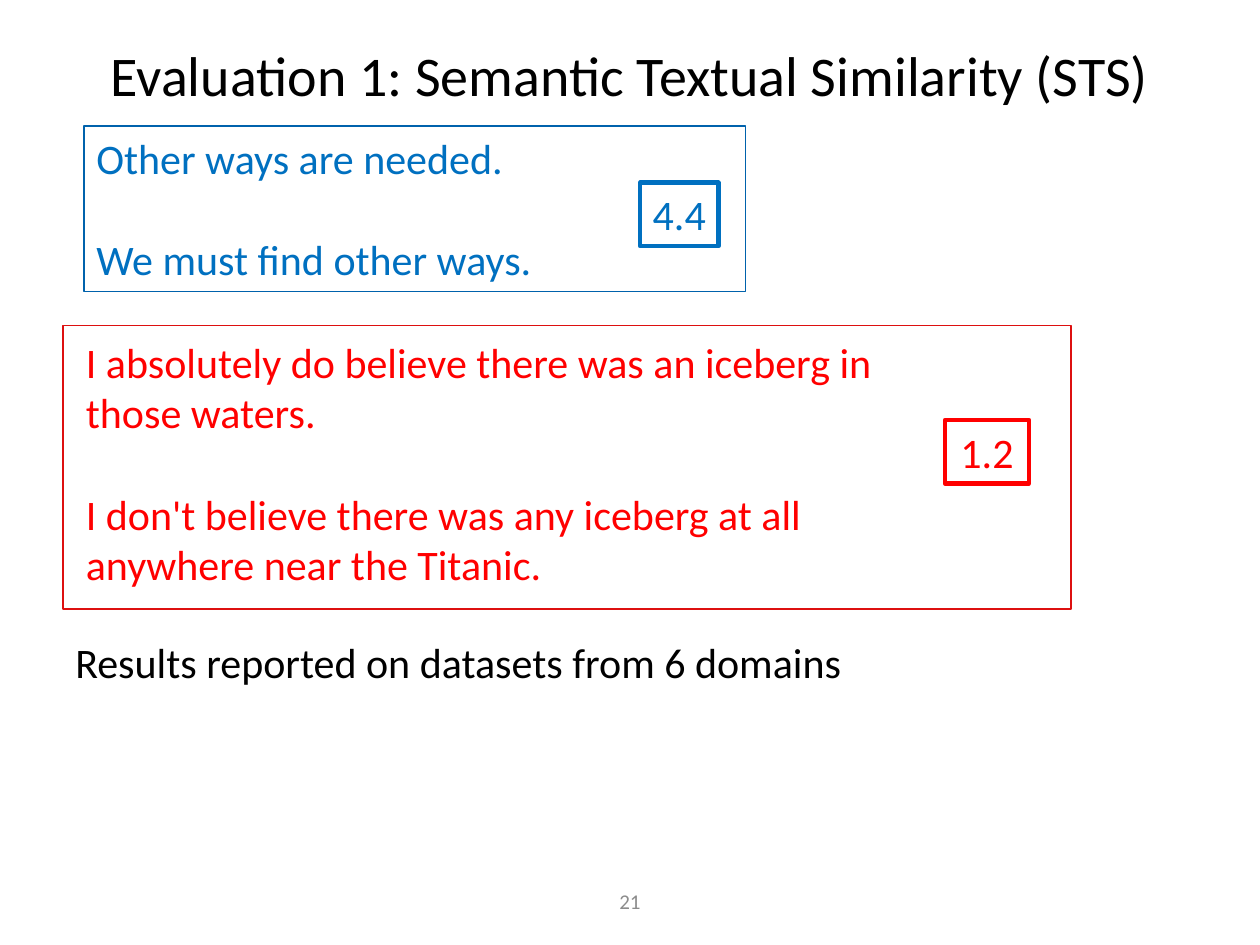
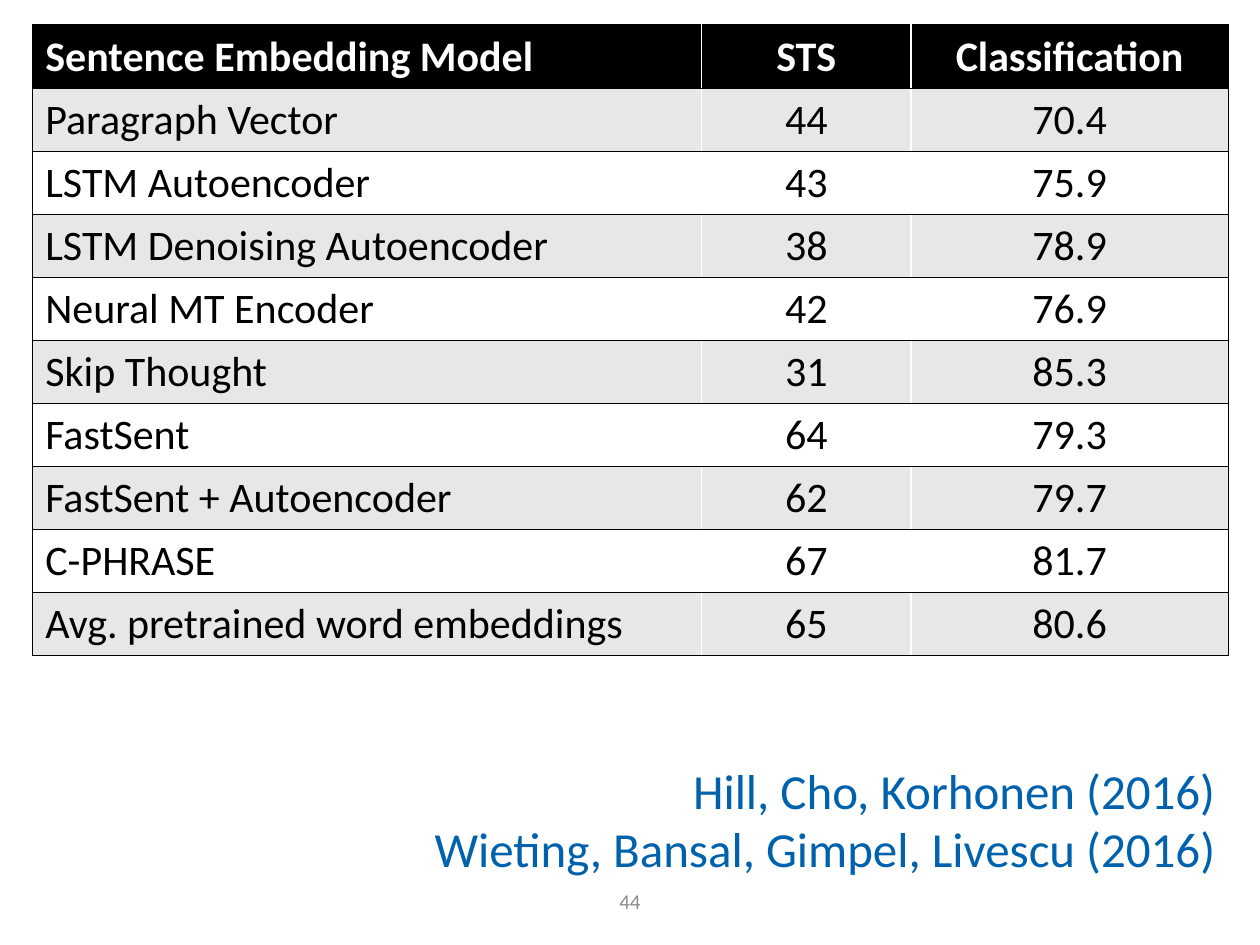
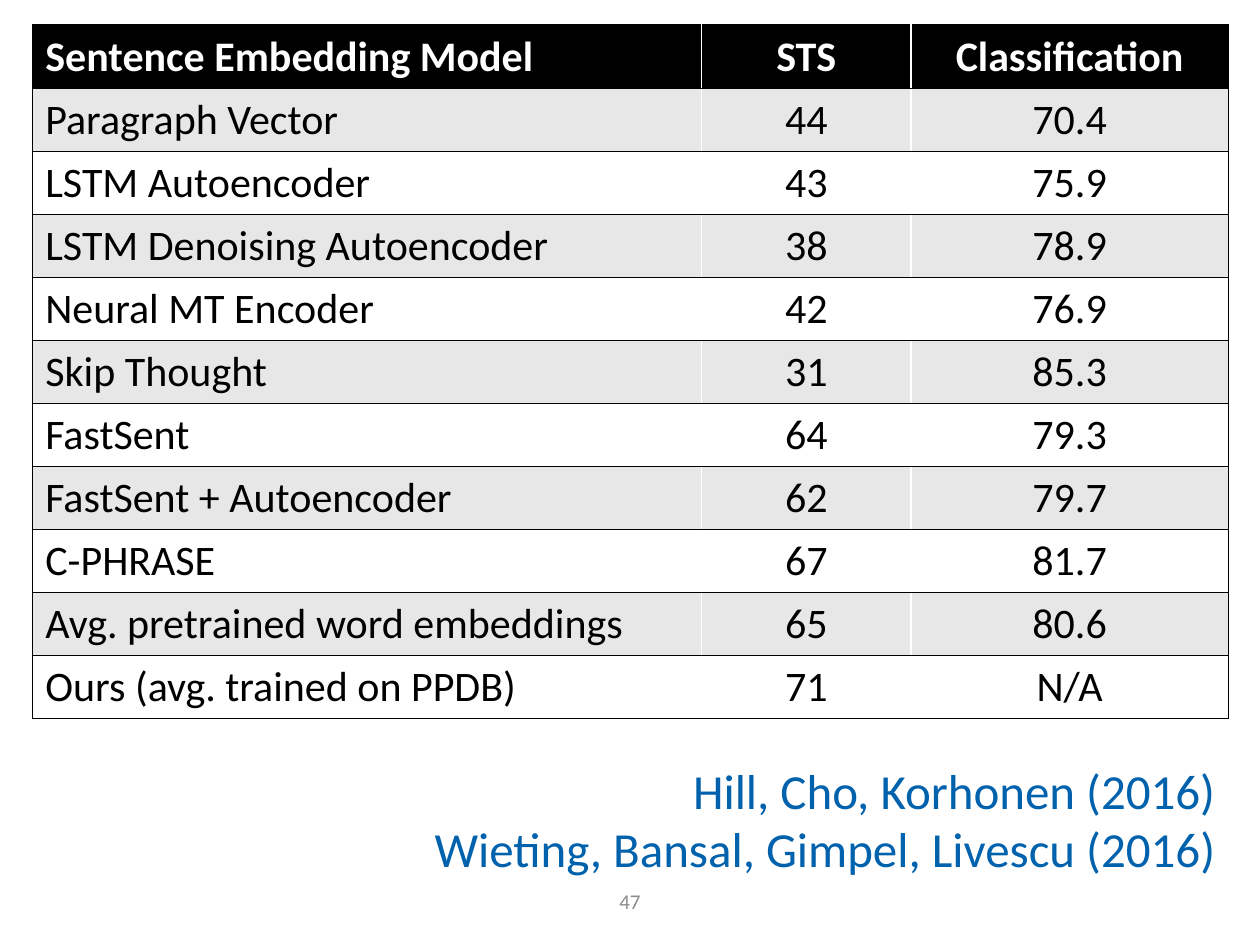
import pptx
import pptx.dml.color
import pptx.enum.shapes
import pptx.enum.text
import pptx.oxml
import pptx.oxml.ns
import pptx.util

Pt = pptx.util.Pt
ALIGN = pptx.enum.text.PP_ALIGN
ANCHOR = pptx.enum.text.MSO_ANCHOR

BLACK, WHITE, BAND = "000000", "FFFFFF", "E7E7E7"
BLUE, NAVY, RED, CRIMSON, GREY = "0070C0", "0062AC", "FF0000", "DD1010", "8C8C8C"
FONT = "Calibri"
BLANK_LINE = 29.3

TITLE = "Evaluation 1: Semantic Textual Similarity (STS)"
TITLE_AREA = (36, 13.7, 648, 56.9)
SIMILAR_PAIR = ["Other ways are needed.", "We must find other ways."]
DISSIMILAR_PAIR = [
    "I absolutely do believe there was an iceberg in those waters.",
    "I don't believe there was any iceberg at all anywhere near the Titanic.",
]
SCORES = [
    ("4.4", (365.8, 104.4, 44.8, 36.35), BLUE),
    ("1.2", (540, 240, 48, 36.35), RED),
]
RESULTS_NOTE = "Results reported on datasets from 6 domains"

HEADER = ("Sentence Embedding Model", "STS", "Classification")
MODELS = [
    ("Paragraph Vector", "44", "70.4"),
    ("LSTM Autoencoder", "43", "75.9"),
    ("LSTM Denoising Autoencoder", "38", "78.9"),
    ("Neural MT Encoder", "42", "76.9"),
    ("Skip Thought", "31", "85.3"),
    ("FastSent", "64", "79.3"),
    ("FastSent + Autoencoder", "62", "79.7"),
    ("C-PHRASE", "67", "81.7"),
    ("Avg. pretrained word embeddings", "65", "80.6"),
]
OURS = ("Ours (avg. trained on PPDB)", "71", "N/A")
COLUMN_WIDTHS = (382.3, 119.5, 181.5)
ROW_HEIGHT = 36
CITATIONS = ["Hill, Cho, Korhonen (2016)", "Wieting, Bansal, Gimpel, Livescu (2016)"]
RESULT_SLIDES = [("44", MODELS), ("47", MODELS + [OURS])]


def rgb(value):
    return pptx.dml.color.RGBColor.from_string(value)


def write(frame, lines, color, size=24, align=ALIGN.LEFT, bold=False, gap=0,
          anchor=ANCHOR.TOP, wrap=True):
    frame.word_wrap = wrap
    frame.vertical_anchor = anchor
    for number, line in enumerate(lines):
        paragraph = frame.add_paragraph() if number else frame.paragraphs[0]
        paragraph.alignment = align
        paragraph.space_before = Pt(gap if number else 0)
        run = paragraph.add_run()
        run.text = line
        for key, value in dict(name=FONT, size=Pt(size), bold=bold).items():
            setattr(run.font, key, value)
        run.font.color.rgb = rgb(color)


def add_text(slide, area, lines, color, **style):
    write(slide.shapes.add_textbox(*map(Pt, area)).text_frame, lines, color, **style)


def add_frame(slide, area, line_color, width):
    frame = slide.shapes.add_shape(pptx.enum.shapes.MSO_SHAPE.RECTANGLE, *map(Pt, area))
    frame.shadow.inherit = False
    frame.fill.background()
    frame.line.color.rgb = rgb(line_color)
    frame.line.width = Pt(width)
    return frame


def add_page_number(slide, number):
    add_text(slide, (246, 500.5, 228, 28.75), [number], GREY, size=12,
             align=ALIGN.CENTER, anchor=ANCHOR.MIDDLE)


def set_borders(cell, sides):
    properties = cell._tc.get_or_add_tcPr()
    for position, side in enumerate(sides):
        properties.insert(position, pptx.oxml.parse_xml(
            f'<a:ln{side} {pptx.oxml.ns.nsdecls("a")} w="12700"><a:solidFill>'
            f'<a:srgbClr val="{BLACK}"/></a:solidFill></a:ln{side}>'))


def add_model_table(slide, models):
    rows = [HEADER] + models
    table = slide.shapes.add_table(
        len(rows), len(HEADER), Pt(18.7), Pt(14.4),
        Pt(sum(COLUMN_WIDTHS)), Pt(ROW_HEIGHT * len(rows))).table
    for column, width in zip(table.columns, COLUMN_WIDTHS):
        column.width = Pt(width)
    for r, row in enumerate(rows):
        table.rows[r].height = Pt(ROW_HEIGHT)
        fill = BLACK if r == 0 else BAND if r % 2 else WHITE
        for c, value in enumerate(row):
            cell = table.cell(r, c)
            cell.fill.solid()
            cell.fill.fore_color.rgb = rgb(fill)
            write(cell.text_frame, [value], BLACK if r else WHITE, bold=r == 0,
                  align=ALIGN.CENTER if c else ALIGN.LEFT)
            set_borders(cell, ("LTB", "TB", "RTB")[c])


def build_evaluation(deck):
    slide = deck.slides.add_slide(deck.slide_layouts[5])
    title = slide.shapes.title
    for key, value in zip(("left", "top", "width", "height"), TITLE_AREA):
        setattr(title, key, Pt(value))
    write(title.text_frame, [TITLE], BLACK, size=32, align=ALIGN.CENTER,
          anchor=ANCHOR.MIDDLE)
    add_page_number(slide, "21")
    similar = add_frame(slide, (48, 72, 378, 94.5), NAVY, 0.75)
    write(similar.text_frame, SIMILAR_PAIR, BLUE, gap=BLANK_LINE)
    add_text(slide, (42, 188.6, 474, 152.6), DISSIMILAR_PAIR, RED, gap=BLANK_LINE)
    for score, area, color in SCORES:
        write(add_frame(slide, area, color, 2.5).text_frame, [score], color,
              align=ALIGN.CENTER, wrap=False)
    add_frame(slide, (36, 186, 576, 162), CRIMSON, 0.75)
    add_text(slide, (36, 360, 648, 96), [RESULTS_NOTE], BLACK)


def build_results(deck, number, models):
    slide = deck.slides.add_slide(deck.slide_layouts[6])
    add_model_table(slide, models)
    add_page_number(slide, number)
    add_text(slide, (224.8, 430.8, 476.6, 75.1), CITATIONS, NAVY, size=28,
             align=ALIGN.RIGHT)


def main():
    deck = pptx.Presentation()
    deck.slide_width, deck.slide_height = Pt(720), Pt(540)
    build_evaluation(deck)
    for number, models in RESULT_SLIDES:
        build_results(deck, number, models)
    deck.save("out.pptx")


if __name__ == "__main__":
    main()
